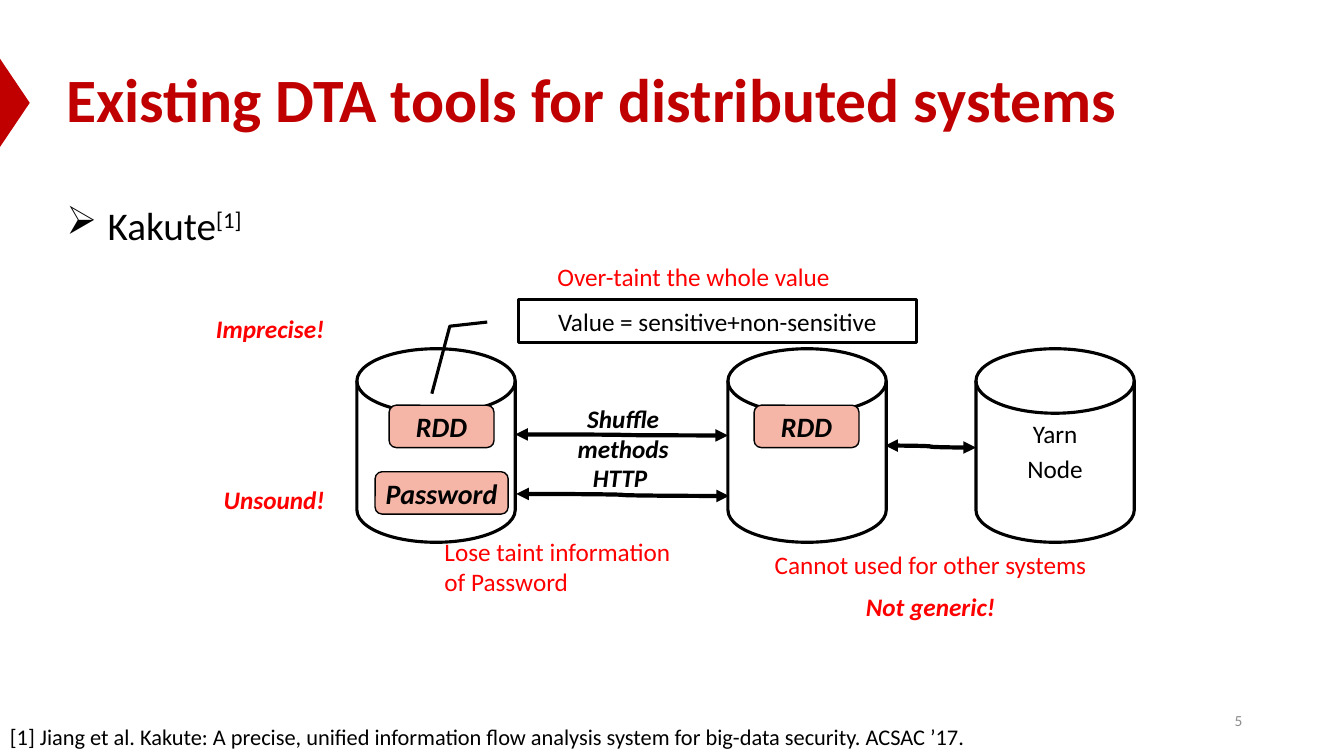
from lxml.etree import SubElement
from pptx import Presentation
from pptx.dml.color import RGBColor
from pptx.enum.shapes import MSO_CONNECTOR, MSO_SHAPE
from pptx.enum.text import MSO_ANCHOR, PP_ALIGN
from pptx.oxml.ns import qn
from pptx.util import Inches, Pt

HUES = {"title": "C00000", "alert": "FF0000", "ink": "000000",
        "paper": "FFFFFF", "data": "F5B6A7", "page": "8C8C8C"}

deck = Presentation()
deck.slide_width, deck.slide_height = Inches(13.33), Inches(7.5)
slide = deck.slides.add_slide(deck.slide_layouts[6])
shapes = slide.shapes


def write(shape, text, size, hue="ink", align=PP_ALIGN.LEFT,
          anchor=MSO_ANCHOR.TOP, bold=False, slant=False, wrap=True):
    """Fill a shape with text and format every run alike."""
    frame = shape.text_frame
    frame.text = text
    frame.word_wrap = wrap
    frame.vertical_anchor = anchor
    for para in frame.paragraphs:
        para.alignment = align
        for run in para.runs:
            font = run.font
            font.name, font.size = "Calibri", Pt(size)
            font.bold, font.italic = bold, slant
            font.color.rgb = RGBColor.from_string(HUES[hue])
    return frame


def draw(kind, box, fill="paper", width=2.25):
    """Add a filled preset shape; a width of 0 means no outline."""
    shape = shapes.add_shape(kind, *map(Inches, box))
    shape.shadow.inherit = False
    shape.fill.solid()
    shape.fill.fore_color.rgb = RGBColor.from_string(HUES[fill])
    if width:
        shape.line.color.rgb = RGBColor.from_string(HUES["ink"])
        shape.line.width = Pt(width)
    else:
        shape.line.fill.background()
    return shape


# Heading
mark = draw(MSO_SHAPE.ISOSCELES_TRIANGLE, (-0.3, 0.87, 0.89, 0.3), "title", 0)
mark.rotation = 90
title = shapes.add_textbox(*map(Inches, (0.56, 0.29, 12.77, 1.45)))
frame = write(title, "Existing DTA tools for distributed systems", 44, "title",
              anchor=MSO_ANCHOR.MIDDLE, bold=True)
frame.paragraphs[0].line_spacing = 0.9

# Bullet with a raised reference
body = shapes.add_textbox(*map(Inches, (0.56, 2, 11.86, 4.76)))
para = write(body, "Kakute", 28).paragraphs[0]
para.line_spacing = 0.9
props = para._p.get_or_add_pPr()
props.set("marL", str(Inches(0.41)))
props.set("indent", str(-Inches(0.41)))
SubElement(props, qn("a:buChar")).set("char", "➢")
note = para.add_run()
note.text = "[1]"
note.font.name, note.font.size = "Calibri", Pt(28)
note.font.color.rgb = RGBColor.from_string(HUES["ink"])
note._r.get_or_add_rPr().set("baseline", "30000")

# Nodes
for left, text in ((3.54, ""), (7.22, ""), (9.68, "Yarn\nNode")):
    node = draw(MSO_SHAPE.FLOWCHART_MAGNETIC_DISK, (left, 3.46, 1.57, 1.92))
    if text:
        frame = write(node, text, 18, align=PP_ALIGN.CENTER)
        frame.paragraphs[1].space_before = Pt(3.6)

# Data held in the nodes
for left, top, width, text in ((3.86, 4.02, 1.04, "RDD"),
                               (7.48, 4.02, 1.04, "RDD"),
                               (3.72, 4.68, 1.32, "Password")):
    item = draw(MSO_SHAPE.ROUNDED_RECTANGLE, (left, top, width, 0.42), "data", 1)
    write(item, text, 20, align=PP_ALIGN.CENTER, anchor=MSO_ANCHOR.MIDDLE,
          bold=True, slant=True, wrap=False)

# Links between the nodes
for ends in ((5.11, 4.31, 7.22, 4.32), (5.12, 4.9, 7.23, 4.92),
             (8.78, 4.42, 9.68, 4.44)):
    link = shapes.add_connector(MSO_CONNECTOR.CURVE, *map(Inches, ends))
    link.line.color.rgb = RGBColor.from_string(HUES["ink"])
    link.line.width = Pt(3)
    stroke = link.line._get_or_add_ln()
    for end in ("a:headEnd", "a:tailEnd"):
        SubElement(stroke, qn(end)).set("type", "triangle")
    SubElement(link._element.spPr, qn("a:effectLst"))

# Value held by the first node
value = draw(MSO_SHAPE.LINE_CALLOUT_2, (5.14, 2.97, 3.95, 0.43))
for i, ratio in enumerate((0.524, -0.078, 0.62, -0.172, 2.177, -0.217)):
    value.adjustments[i] = ratio
write(value, "Value = sensitive+non-sensitive", 18, align=PP_ALIGN.CENTER,
      anchor=MSO_ANCHOR.MIDDLE)

# Labels: box, text, hue, centred, strong
labels = (
    ((5.42, 3.95, 1.52, 0.71), "Shuffle methods", "ink", True, True),
    ((5.39, 4.54, 1.52, 0.4), "HTTP", "ink", True, True),
    ((1.45, 3.06, 2.46, 0.4), "Imprecise!", "alert", True, True),
    ((1.49, 4.76, 2.46, 0.4), "Unsound!", "alert", True, True),
    ((7.7, 5.82, 3.06, 0.4), "Not generic!", "alert", True, True),
    ((7.23, 5.4, 4, 0.4), "Cannot used for other systems", "alert", True, False),
    ((5.43, 2.54, 3, 0.4), "Over-taint the whole value", "alert", False, False),
    ((4.31, 5.27, 2.69, 0.71), "Lose taint information of Password",
     "alert", False, False),
)
for box, text, hue, mid, strong in labels:
    label = shapes.add_textbox(*map(Inches, box))
    write(label, text, 18, hue, PP_ALIGN.CENTER if mid else PP_ALIGN.LEFT,
          bold=strong, slant=strong)

# Footer
page = shapes.add_textbox(*map(Inches, (9.42, 6.95, 3, 0.4)))
write(page, "5", 11, "page", PP_ALIGN.RIGHT, MSO_ANCHOR.MIDDLE)
cite = shapes.add_textbox(*map(Inches, (0, 7.13, 13.33, 0.37)))
write(cite, "[1] Jiang et al. Kakute: A precise, unified information flow "
      "analysis system for big-data security. ACSAC ’17.", 16)

deck.save("out.pptx")
